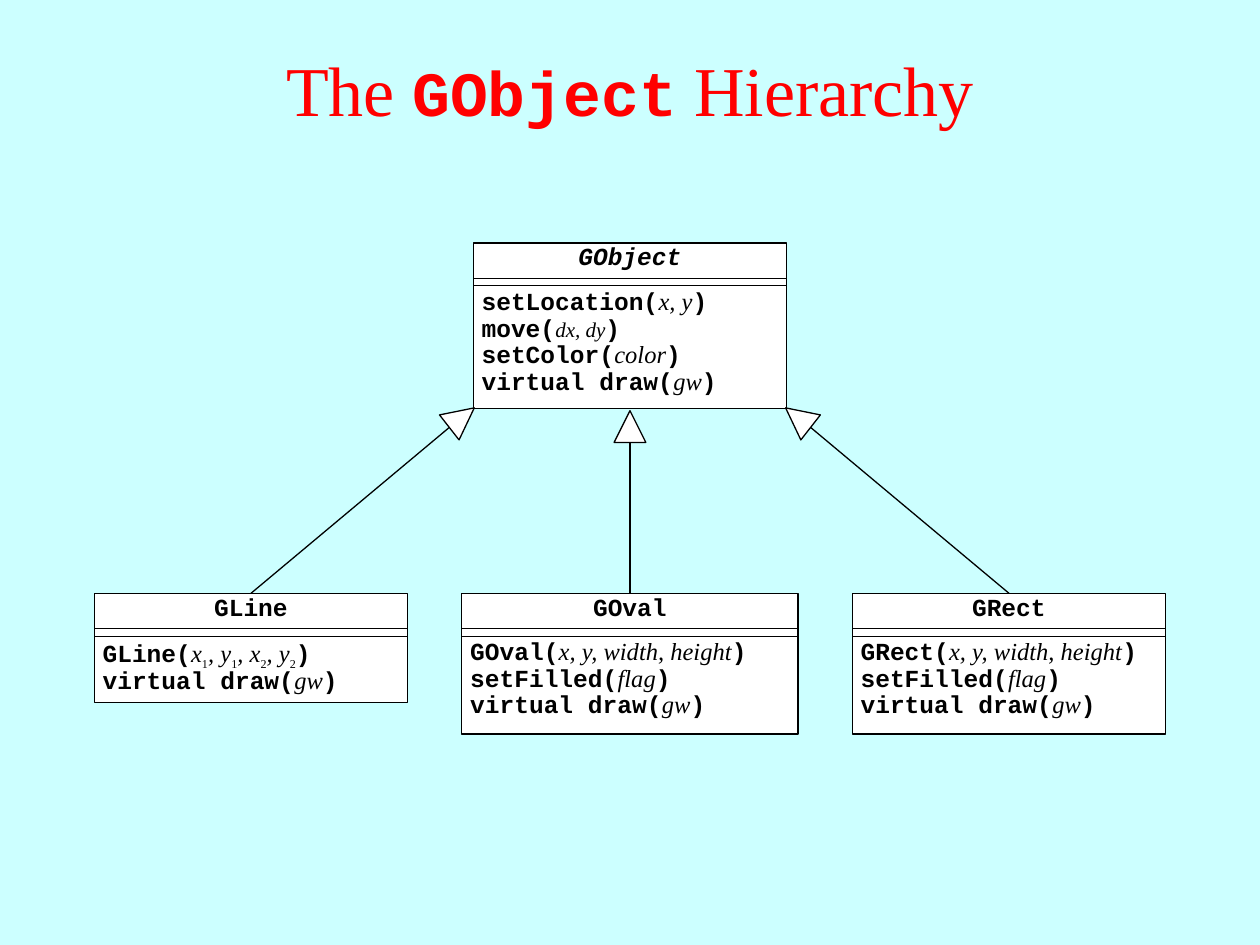
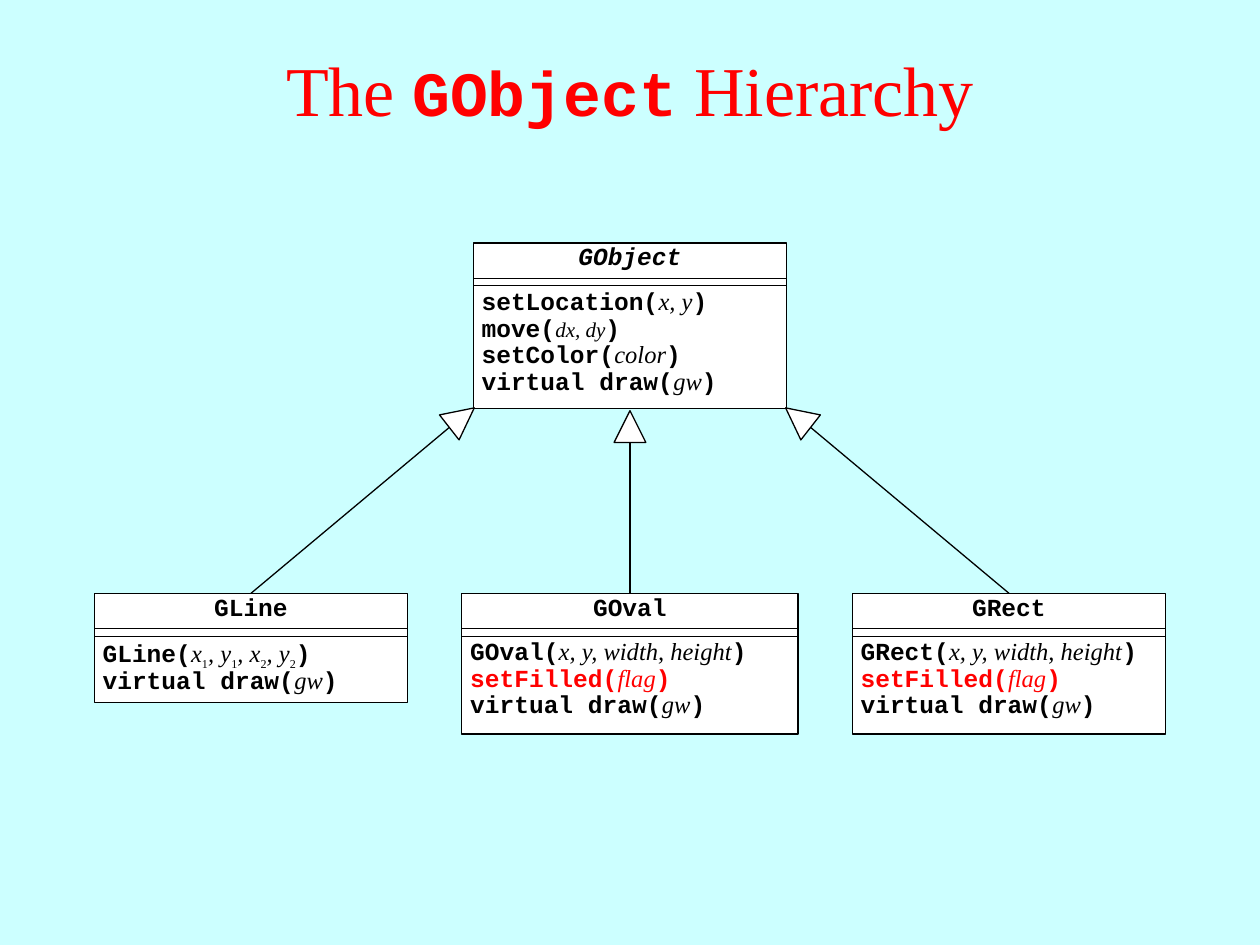
from itertools import groupby
from math import cos, radians, sin

from lxml.etree import SubElement
from pptx import Presentation
from pptx.dml.color import RGBColor
from pptx.enum.shapes import MSO_CONNECTOR, MSO_SHAPE
from pptx.enum.text import MSO_ANCHOR, MSO_AUTO_SIZE, PP_ALIGN
from pptx.oxml.ns import qn
from pptx.util import Cm, Pt

CODE, SERIF = "Courier New", "Times New Roman"
BLACK, WHITE, RED, AQUA = "000000", "FFFFFF", "FF0000", "CCFFFF"

PARENT_TOP, CHILD_TOP = 4.9, 11.96
CLASS_WIDTH = 6.32
ARROW = 0.64

PARENT_METHODS = [("setLocation", "x, y"), ("move", "dx, dy"),
                  ("setColor", "color"), ("virtual draw", "gw")]
FILLED_METHODS = [("setFilled", "flag"), ("virtual draw", "gw")]
SIZE_ARGS = "x, y, width, height"

SUBCLASSES = [
    ("GLine", 1.9, CLASS_WIDTH, 2.21,
     [("GLine", "x1, y1, x2, y2"), ("virtual draw", "gw")], (9.31, 8.42, 52)),
    ("GOval", 9.31, 6.78, 2.84,
     [("GOval", SIZE_ARGS)] + FILLED_METHODS, (12.7, 8.6, 0)),
    ("GRect", 17.18, CLASS_WIDTH, 2.84,
     [("GRect", SIZE_ARGS)] + FILLED_METHODS, (16.09, 8.42, 308)),
]


def rgb(color):
    return RGBColor.from_string(color)


def add_run(p, text, font=CODE, size=14, color=BLACK, bold=False, italic=False, baseline=0):
    r = p.add_run()
    r.text = text
    r.font.name = font
    r.font.size = Pt(size)
    r.font.color.rgb = rgb(color)
    r.font.bold = bold
    r.font.italic = italic
    if baseline:
        r._r.get_or_add_rPr().set("baseline", str(baseline * 1000))


class ClassDiagram:
    def __init__(self, prs):
        self.prs = prs
        prs.slide_master.background.fill.solid()
        prs.slide_master.background.fill.fore_color.rgb = rgb(AQUA)

    def new_slide(self):
        self.slide = self.prs.slides.add_slide(self.prs.slide_layouts.get_by_name("Title Only"))
        self.shapes = self.slide.shapes

    def start_group(self):
        self.shapes = self.slide.shapes.add_group_shape().shapes

    def title(self, before, code, after):
        sp = self.slide.shapes.title
        sp.left, sp.top, sp.width, sp.height = Cm(0), Cm(0.2), Cm(25.4), Cm(3.18)
        tf = sp.text_frame
        tf.vertical_anchor = MSO_ANCHOR.MIDDLE
        p = tf.paragraphs[0]
        p.alignment = PP_ALIGN.CENTER
        add_run(p, before, font=SERIF, size=40, color=RED)
        add_run(p, code, size=36, color=RED, bold=True)
        add_run(p, after, font=SERIF, size=40, color=RED)

    def shape(self, kind, x, y, w, h, rotation=0):
        sp = self.shapes.add_shape(kind, Cm(x), Cm(y), Cm(w), Cm(h))
        sp.rotation = rotation
        sp.shadow.inherit = False
        sp.fill.solid()
        sp.fill.fore_color.rgb = rgb(WHITE)
        sp.line.color.rgb = rgb(BLACK)
        sp.line.width = Pt(0.75)
        return sp

    def line(self, x1, y1, x2, y2, width=0.5):
        cxn = self.shapes.add_connector(MSO_CONNECTOR.STRAIGHT, Cm(x1), Cm(y1), Cm(x2), Cm(y2))
        cxn.line.color.rgb = rgb(BLACK)
        cxn.line.width = Pt(width)
        SubElement(cxn._element.spPr, qn("a:effectLst"))
        return cxn

    def text_lines(self, x, y, w, count, align=PP_ALIGN.LEFT):
        tf = self.shapes.add_textbox(Cm(x), Cm(y), Cm(w), Cm(0.53 * count + 0.28)).text_frame
        tf.word_wrap = True
        tf.auto_size = MSO_AUTO_SIZE.SHAPE_TO_FIT_TEXT
        for _ in range(count - 1):
            tf.add_paragraph()
        for p in tf.paragraphs:
            p.alignment = align
            p.line_spacing = 0.9
        return tf.paragraphs

    def method(self, p, name, args, color):
        add_run(p, name + "(", color=color, bold=True)
        size = 12 if name == "move" else 14
        for is_index, chars in groupby(args, str.isdigit):
            if is_index:
                add_run(p, "".join(chars), font=SERIF, size=12, color=color, baseline=-25)
            else:
                add_run(p, "".join(chars), font=SERIF, size=size, color=color, italic=True)
        add_run(p, ")", color=color, bold=True)

    def class_box(self, name, x, y, w, h, methods, abstract=False, highlight=None):
        box = self.shape(MSO_SHAPE.RECTANGLE, x, y, w, h)
        for offset in (0.71, 0.86):
            self.line(x, y + offset, x + w, y + offset)
        heading = self.text_lines(x, y - 0.09, w, 1, PP_ALIGN.CENTER)[0]
        add_run(heading, name, bold=True, italic=abstract)
        lines = self.text_lines(x - 0.08, y + 0.81, w + 0.3, len(methods))
        for p, (method, args) in zip(lines, methods):
            self.method(p, method, args, RED if method == highlight else BLACK)
        return box

    def inherit_arrow(self, box, x, y, w, cx, cy, angle):
        self.shape(MSO_SHAPE.ISOSCELES_TRIANGLE, cx - ARROW / 2, cy - ARROW / 2,
                   ARROW, ARROW, angle)
        base_x = cx - ARROW / 2 * sin(radians(angle))
        base_y = cy + ARROW / 2 * cos(radians(angle))
        self.line(x + w / 2, y, base_x, base_y, 0.75).begin_connect(box, 0)

    def hierarchy(self, highlight=None):
        self.new_slide()
        self.title("The ", "GObject", " Hierarchy")
        self.class_box("GObject", 9.54, PARENT_TOP, CLASS_WIDTH, 3.33, PARENT_METHODS,
                       abstract=True)
        for name, x, w, h, methods, arrow in SUBCLASSES:
            self.start_group()
            box = self.class_box(name, x, CHILD_TOP, w, h, methods, highlight=highlight)
            self.inherit_arrow(box, x, CHILD_TOP, w, *arrow)


def main():
    prs = Presentation()
    prs.slide_width, prs.slide_height = Cm(25.4), Cm(19.05)
    diagram = ClassDiagram(prs)
    diagram.hierarchy()
    diagram.hierarchy(highlight="setFilled")
    prs.save("out.pptx")


if __name__ == "__main__":
    main()
